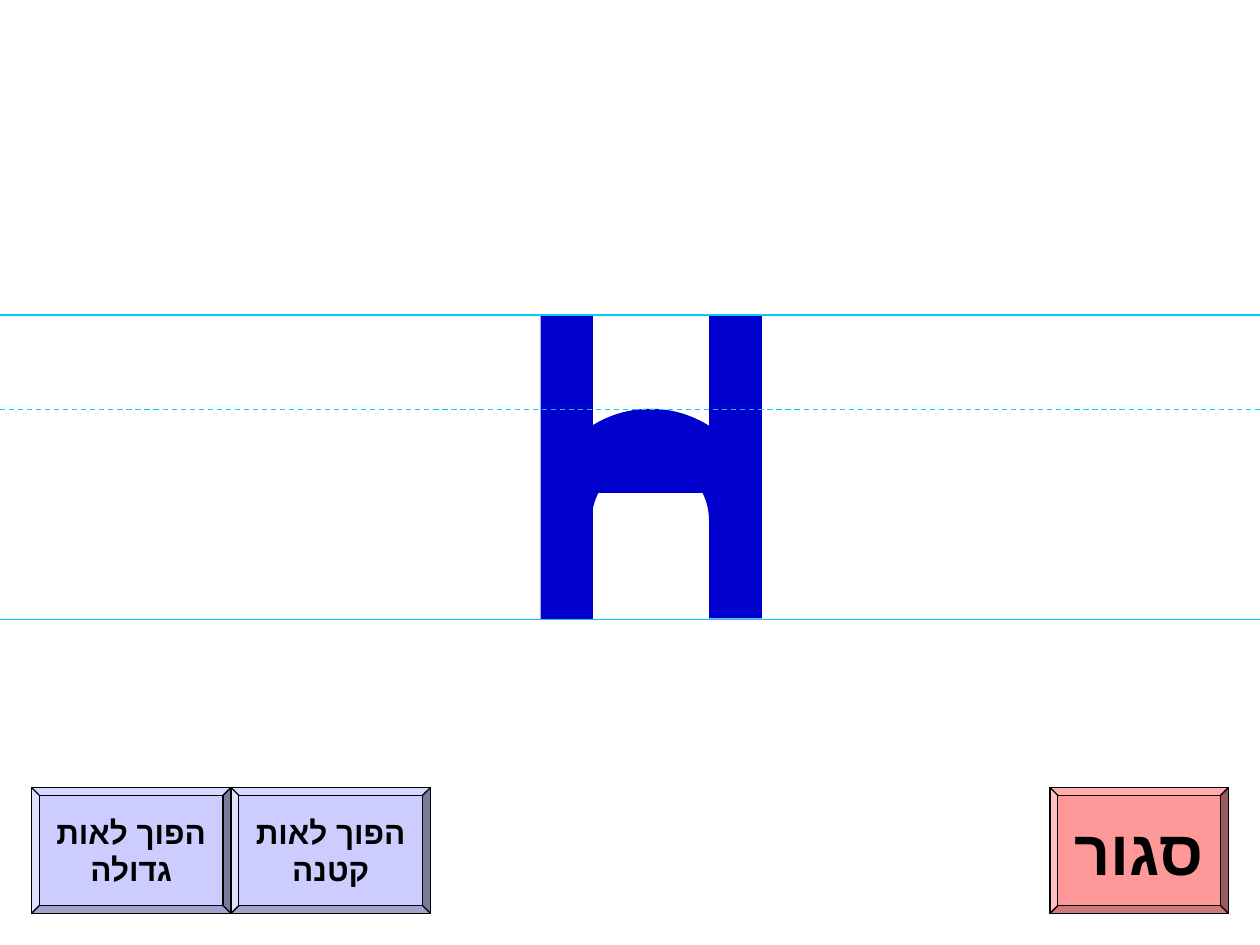
import dataclasses

import lxml.etree
import pptx
import pptx.dml.color
import pptx.enum.dml
import pptx.enum.shapes
import pptx.enum.text
import pptx.oxml.ns
import pptx.util

KIND = pptx.enum.shapes.MSO_SHAPE
WIDE, HIGH = pptx.util.Inches(10), pptx.util.Inches(7.5)
COLS, ROWS = 120, 90
BLUE, WHITE, CYAN, BLACK = "0000CC", "FFFFFF", "00CCFF", "000000"
LILAC, PINK = "CCCCFF", "FF9999"
FONT = "Arial"


@dataclasses.dataclass
class Box:
    """A place on the grid, in columns and rows."""
    col: float
    row: float
    cols: float
    rows: float


@dataclasses.dataclass
class Part:
    box: Box
    fill: str = BLUE
    line: str | None = BLUE
    kind: int = KIND.RECTANGLE
    turns: tuple = ()


@dataclasses.dataclass
class Button:
    text: str
    col: float
    cols: float
    fill: str
    size: int


@dataclasses.dataclass
class Rule:
    row: float
    dash: bool = False


def across(col: float) -> int:
    return round(WIDE * col / COLS)


def down(row: float) -> int:
    return round(HIGH * row / ROWS)


def paint(target, color: str) -> None:
    """Set a solid colour on a fill or a line fill."""
    target.solid()
    target.fore_color.rgb = pptx.dml.color.RGBColor.from_string(color)


def draw_part(slide, part: Part):
    box = part.box
    shape = slide.shapes.add_shape(part.kind, across(box.col), down(box.row),
                                   across(box.cols), down(box.rows))
    shape.shadow.inherit = False
    for i, turn in enumerate(part.turns):
        shape.adjustments[i] = turn
    paint(shape.fill, part.fill)
    if part.line:
        paint(shape.line.fill, part.line)
        shape.line.width = pptx.util.Pt(0.75)
    else:
        shape.line.fill.background()
    return shape


def draw_rule(slide, rule: Rule) -> None:
    y = down(rule.row)
    line = slide.shapes.add_connector(
        pptx.enum.shapes.MSO_CONNECTOR.STRAIGHT, 0, y, WIDE, y)
    paint(line.line.fill, CYAN)
    line.line.width = pptx.util.Pt(0.75)
    if rule.dash:
        line.line.dash_style = pptx.enum.dml.MSO_LINE.DASH
    props = line._element.spPr
    lxml.etree.SubElement(props, pptx.oxml.ns.qn("a:effectLst"))


def draw_button(slide, button: Button) -> None:
    box = Box(button.col, 75, button.cols, 12)
    shape = draw_part(slide, Part(box, button.fill, BLACK, KIND.BEVEL, (0.0625,)))
    frame = shape.text_frame
    frame.text = button.text
    frame.word_wrap = False
    frame.vertical_anchor = pptx.enum.text.MSO_ANCHOR.MIDDLE
    for para in frame.paragraphs:
        para.alignment = pptx.enum.text.PP_ALIGN.CENTER
        para._p.get_or_add_pPr().set("rtl", "1")
        for run in para.runs:
            font = run.font
            font.name, font.size, font.bold = FONT, pptx.util.Pt(button.size), True
            paint(font.fill, BLACK)
            # Hebrew takes the complex-script font
            script = lxml.etree.SubElement(font._element, pptx.oxml.ns.qn("a:cs"))
            script.set("typeface", FONT)


# The letter: two stems, a bar and an arch
LETTER = [
    Part(Box(51.5, 30.1, 4.9, 28.9)),
    Part(Box(51.5, 42.5, 20.8, 4.4)),
    Part(Box(67.6, 30.1, 4.9, 28.9)),
    Part(Box(51.5, 39, 20.9, 21.1), kind=KIND.BLOCK_ARC,
         turns=(107.94, 0.07, 0.23)),
]

# White panels that trim the letter's edges
PANELS = [Part(Box(col, row, 19.8, 31.1), WHITE, None)
          for col, row in [(61, 58.9), (31.7, 28.7), (72.6, 27.8)]]

# Writing lines
RULES = [Rule(39, dash=True), Rule(30), Rule(59)]

BUTTONS = [
    Button("הפוך לאות\nגדולה", 3, 19, LILAC, 18),
    Button("הפוך לאות\nקטנה", 22, 19, LILAC, 18),
    Button("סגור", 100, 17, PINK, 36),
]


def main() -> None:
    deck = pptx.Presentation()
    deck.slide_width, deck.slide_height = WIDE, HIGH
    slide = deck.slides.add_slide(deck.slide_layouts[6])
    paint(slide.background.fill, WHITE)
    for part in LETTER + PANELS:
        draw_part(slide, part)
    for rule in RULES:
        draw_rule(slide, rule)
    for button in BUTTONS:
        draw_button(slide, button)
    deck.save("out.pptx")


if __name__ == "__main__":
    main()
